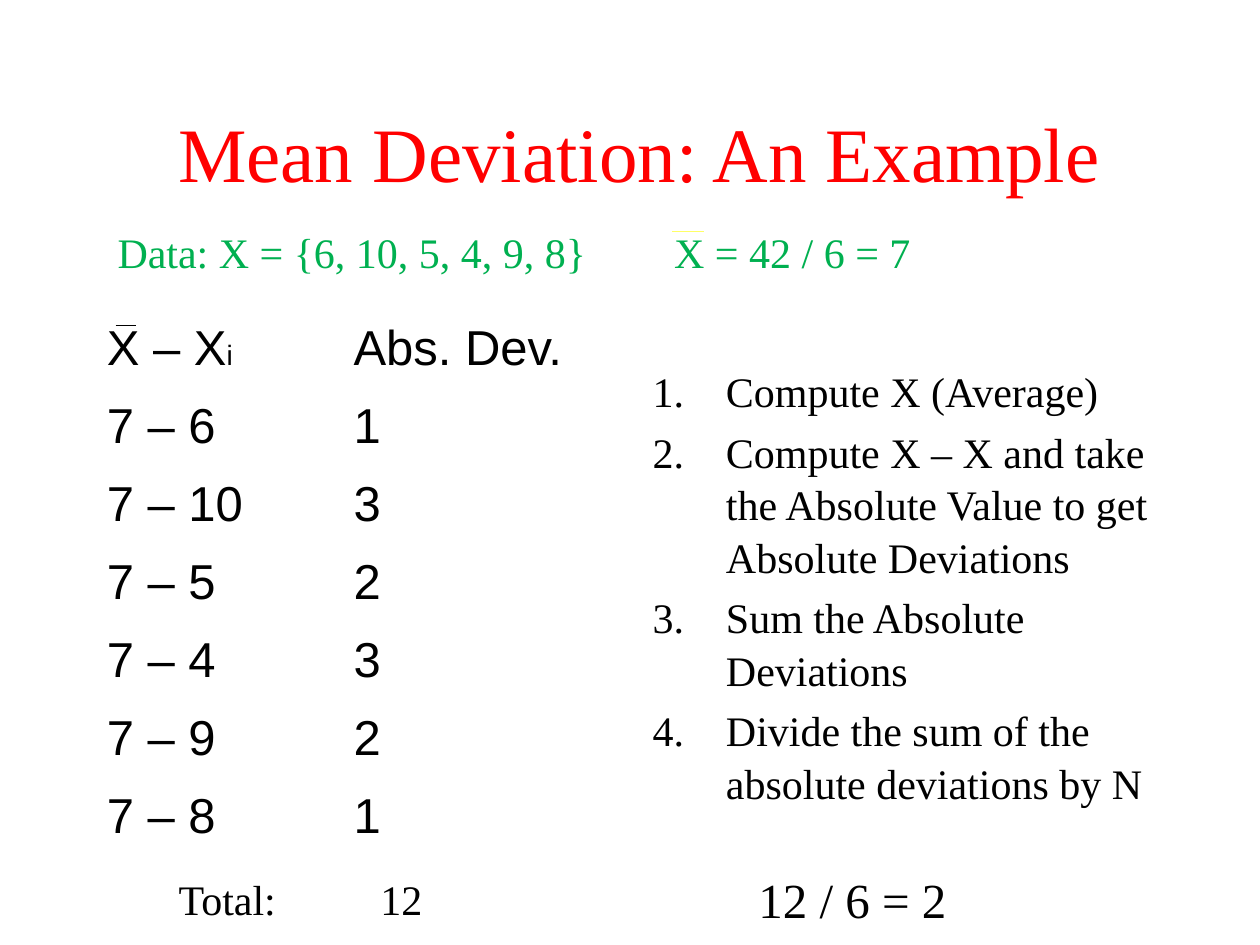
from lxml.etree import SubElement
from pptx import Presentation
from pptx.dml.color import RGBColor
from pptx.enum.shapes import MSO_CONNECTOR
from pptx.enum.text import MSO_ANCHOR, MSO_AUTO_SIZE, PP_ALIGN
from pptx.oxml.ns import qn
from pptx.util import Cm, Pt

RED = RGBColor(255, 0, 0)
GREEN = RGBColor(0, 176, 80)
BLACK = RGBColor(0, 0, 0)
YELLOW = RGBColor(255, 255, 102)
SERIF, SANS = "Times New Roman", "Arial"
MEAN = 7
DATA = (6, 10, 5, 4, 9, 8)
STEPS = (
    "Compute X (Average)",
    "Compute X – X and take the Absolute Value to get Absolute Deviations",
    "Sum the Absolute Deviations",
    "Divide the sum of the absolute deviations by N",
)


class Sheet:
    """Holds the text style and the slide, and adds each kind of element."""

    def __init__(self, slide):
        self.slide = slide
        self.style = {"name": SERIF, "size": Pt(24), "bold": False}

    def put(self, item, values):
        for name, value in values.items():
            setattr(item, name, value)

    def words(self, para, text, color=BLACK, **extra):
        run = para.add_run()
        run.text = text
        self.put(run.font, {**self.style, **extra})
        run.font.color.rgb = color

    def place(self, shape, left, top, width, height):
        spots = {"left": left, "top": top, "width": width, "height": height}
        self.put(shape, {name: Cm(value) for name, value in spots.items()})

    def title(self, text, *box):
        shape = self.slide.shapes.title
        self.place(shape, *box)
        frame = shape.text_frame
        self.put(frame, {"vertical_anchor": MSO_ANCHOR.MIDDLE,
                         "auto_size": MSO_AUTO_SIZE.NONE})
        para = frame.paragraphs[0]
        para.alignment = PP_ALIGN.CENTER
        self.words(para, text, RED, size=Pt(44))

    def steps(self, lines, *box):
        shape = self.slide.placeholders[1]
        self.place(shape, *box)
        frame = shape.text_frame
        frame.auto_size = MSO_AUTO_SIZE.NONE
        for row, line in enumerate(lines):
            para = frame.add_paragraph() if row else frame.paragraphs[0]
            self.put(para, {"space_before": Pt(4.8), "line_spacing": 1.04})
            self.words(para, line)
            props = para._p.get_or_add_pPr()
            props.set("marL", str(Cm(1.48)))
            props.set("indent", str(Cm(-1.48)))
            SubElement(props, qn("a:buAutoNum"), type="arabicPeriod")

    def label(self, text, left, top, width, height, color=BLACK, tab=None, **extra):
        shape = self.slide.shapes.add_textbox(*map(Cm, (left, top, width, height)))
        shape.text_frame.word_wrap = True
        para = shape.text_frame.paragraphs[0]
        self.words(para, text, color, **extra)
        if tab:
            tabs = SubElement(para._p.get_or_add_pPr(), qn("a:tabLst"))
            SubElement(tabs, qn("a:tab"), pos=str(Cm(tab)), algn="l")

    def table(self, rows, *box):
        shape = self.slide.shapes.add_table(len(rows), len(rows[0]), *map(Cm, box))
        grid = shape.table
        self.put(grid, {"first_row": False, "horz_banding": False})
        for row, texts in enumerate(rows):
            for col, parts in enumerate(texts):
                cell = grid.cell(row, col)
                cell.fill.background()
                para = cell.text_frame.paragraphs[0]
                para.space_before = Pt(5.6)
                for text, size in parts:
                    self.words(para, text, name=SANS, size=Pt(size))

    def bar(self, left, top, width, color):
        ends = map(Cm, (left, top, left + width, top))
        line = self.slide.shapes.add_connector(MSO_CONNECTOR.STRAIGHT, *ends)
        line.line.color.rgb = color
        line.line.width = Pt(0.75)
        SubElement(line._element.spPr, qn("a:effectLst"))


def main():
    deck = Presentation()
    deck.slide_width, deck.slide_height = Cm(25.4), Cm(19.05)
    sheet = Sheet(deck.slides.add_slide(deck.slide_layouts[1]))
    sheet.title("Mean Deviation: An Example", 0.89, 2, 24, 2.1)
    sheet.steps(STEPS, 12.9, 7.2, 11.64, 9.52)
    head = [[("X – X", 28), ("i", 16)], [("Abs. Dev.", 28)]]
    rows = [[[(f"{MEAN} – {value}", 28)], [(str(abs(MEAN - value)), 28)]]
            for value in DATA]
    sheet.table([head] + rows, 1.9, 6.35, 9.95, 11)
    sheet.label("Data: X = {6, 10, 5, 4, 9, 8}", 2.12, 4.45, 10.37, 1.27, GREEN)
    sheet.label("X = 42 / 6 = 7", 13.34, 4.45, 5.5, 1.27, GREEN)
    sheet.bar(13.55, 4.66, 0.64, YELLOW)
    sheet.label("Total:\t12", 3.35, 17.48, 5.5, 1.27, tab=4.07)
    sheet.label("12 / 6 = 2", 15.04, 17.4, 4.5, 1.45, size=Pt(28))
    sheet.bar(2.33, 6.56, 0.42, BLACK)
    deck.save("out.pptx")


if __name__ == "__main__":
    main()
